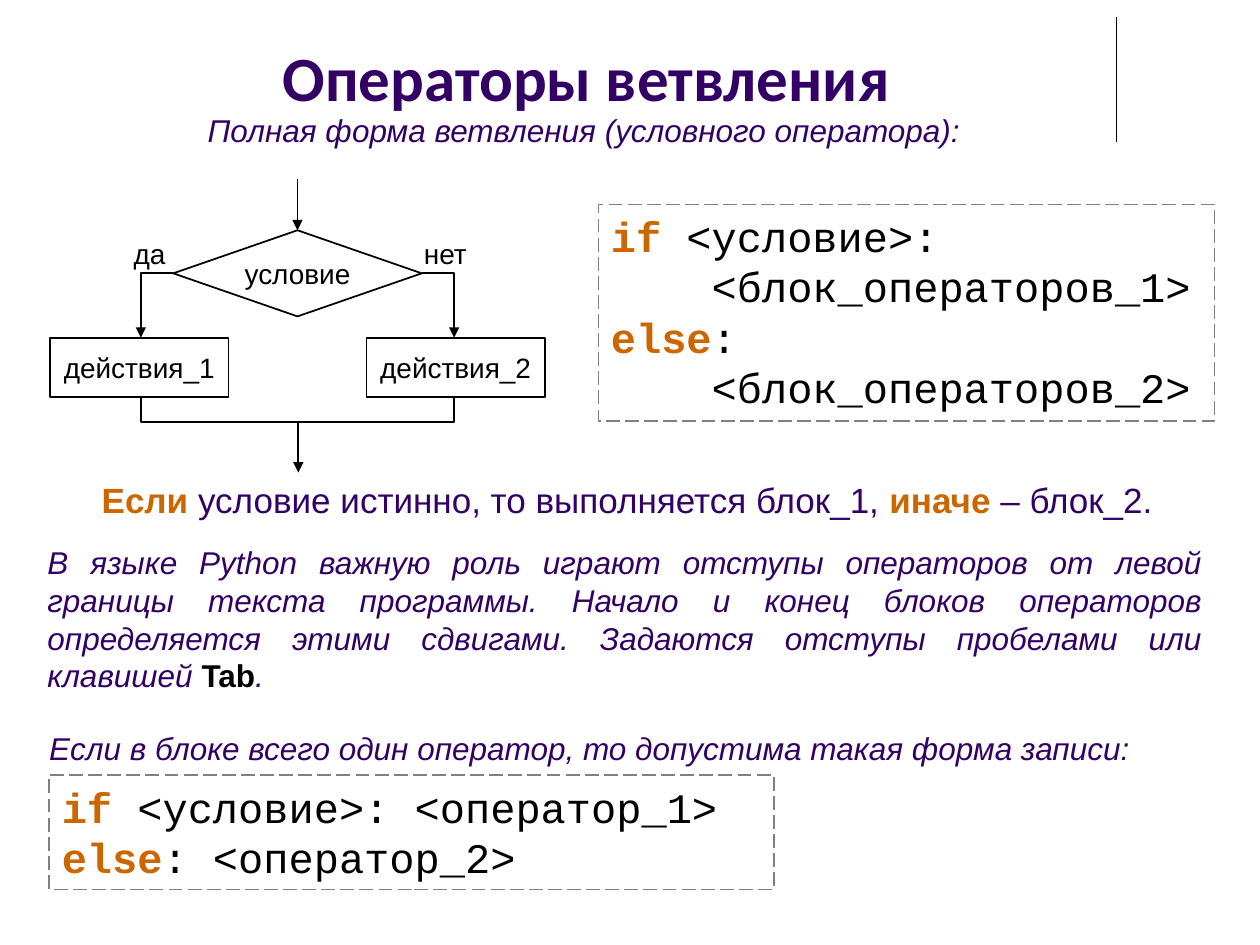
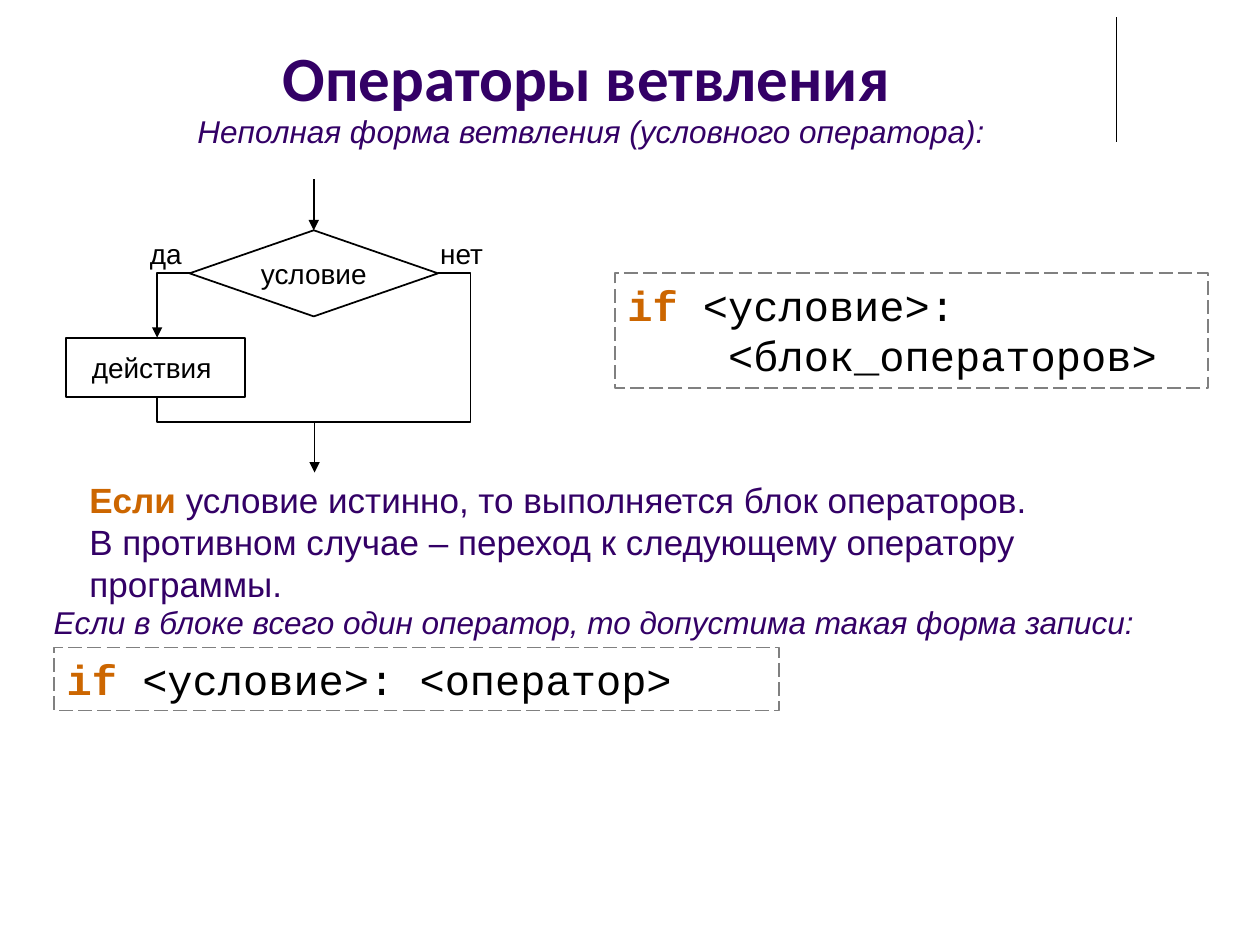
from pptx import Presentation
from pptx.dml.color import RGBColor as RGB
from pptx.enum.dml import MSO_LINE as DASH
from pptx.enum.shapes import MSO_CONNECTOR as CONN, MSO_SHAPE as SHAPE
from pptx.enum.text import MSO_ANCHOR as ANCHOR, PP_ALIGN as ALIGN
from pptx.oxml.ns import qn
from pptx.util import Pt
from lxml.etree import SubElement as sub

HUES = {"ink": "330066", "key": "CC6600", "black": "000000",
        "white": "FFFFFF", "gray": "808080"}


def font(name, size, hue, bold=False, italic=False):
    return {"hue": hue, "name": name, "size": Pt(size),
            "bold": bold, "italic": italic}


STYLES = {
    "title": font("Calibri", 36, "ink", bold=True),
    "note": font("Arial", 18, "ink", italic=True),
    "tab": font("Arial", 18, "black", bold=True),
    "body": font("Arial", 20, "ink"),
    "strong": font("Arial", 20, "key", bold=True),
    "chart": font("Arial", 16, "black"),
    "word": font("Courier New", 24, "key", bold=True),
    "code": font("Courier New", 24, "black"),
    "nest": font("Courier New", 24, "black"),
}
INDENT = Pt(57.6)

TITLE = [[("title", "Операторы ветвления")]]
SHORT = [[("note", "Если в блоке всего один оператор, "
                   "то допустима такая форма записи:")]]
IF = [("word", "if "), ("code", "<условие>:")]

# Each text: box (left, top, width, height), paragraphs of (style, words)
SLIDES = [
    {
        "mid": 170,
        "acts": ["действия_1", "действия_2"],
        "texts": [
            ((111.6, 59.8, 449, 28.8),
             [[("note", "Полная форма ветвления (условного оператора):")]]),
            ((51, 270, 627, 31.7),
             [[("strong", "Если"),
               ("body", " условие истинно, то выполняется блок_1, "),
               ("strong", "иначе"), ("body", " – блок_2.")]]),
            ((20, 306.7, 674, 94.3),
             [[("note", "В языке Python важную роль играют отступы операторов "
                        "от левой границы текста программы. Начало и конец "
                        "блоков операторов определяется этими сдвигами. "
                        "Задаются отступы пробелами или клавишей "),
               ("tab", "Tab"), ("note", ". ")]], ALIGN.JUSTIFY),
            ((21, 413.3, 674, 28.8), SHORT),
        ],
        "codes": [
            ((342, 116.8, 352, 123.8),
             [IF, [("nest", "<блок_операторов_1>")],
              [("word", "else"), ("code", ":")],
              [("nest", "<блок_операторов_2>")]]),
            ((28.2, 442.8, 414, 65.5),
             [[("word", "if "), ("code", "<условие>: <оператор_1>")],
              [("word", "else"), ("code", ": <оператор_2>")]]),
        ],
    },
    {
        "mid": 179.3,
        "acts": ["действия "],
        "texts": [
            ((105.8, 60.5, 471, 38.9),
             [[("note", "Неполная форма ветвления (условного оператора):")]]),
            ((44, 270, 657, 55.4),
             [[("strong", "Если"),
               ("body", " условие истинно, то выполняется блок операторов.")],
              [("body", "В противном случае – переход к следующему оператору "
                        "программы.")]]),
            ((23.5, 341, 674, 28.8), SHORT),
        ],
        "codes": [
            ((351.4, 156.2, 339, 65.5),
             [IF, [("nest", "<блок_операторов>")]]),
            ((31, 370.1, 414, 36),
             [[("word", "if "), ("code", "<условие>: <оператор>")]]),
        ],
    },
]


def rgb(hue):
    return RGB.from_string(HUES[hue])


def write(shape, paras, align=ALIGN.LEFT, anchor=ANCHOR.TOP, pad=None):
    frame = shape.text_frame
    form = {"word_wrap": True, "vertical_anchor": anchor}
    if pad is not None:
        sides = ("left", "top", "right", "bottom")
        form |= {f"margin_{side}": Pt(pad) for side in sides}
    for name, value in form.items():
        setattr(frame, name, value)
    for i, runs in enumerate(paras):
        para = frame.add_paragraph() if i else frame.paragraphs[0]
        para.alignment = align
        first = runs[0][0]
        if first != "title":
            para.line_spacing = Pt(1.2 * STYLES[first]["size"].pt)
        if first == "nest":
            para._p.get_or_add_pPr().set("marL", str(INDENT))
        for style, words in runs:
            run = para.add_run()
            run.text = words
            for name, value in STYLES[style].items():
                if name == "hue":
                    run.font.color.rgb = rgb(value)
                else:
                    setattr(run.font, name, value)


def text(shapes, at, paras, *args, **form):
    write(shapes.add_textbox(*map(Pt, at)), paras, *args, **form)


def stroke(shape, hue="black", width=1, head=False):
    shape.line.color.rgb = rgb(hue)
    shape.line.width = Pt(width)
    if head:
        sub(shape.line._get_or_add_ln(), qn("a:tailEnd"), type="triangle")


def line(shapes, ends, **form):
    link = shapes.add_connector(CONN.STRAIGHT, *map(Pt, ends))
    stroke(link, **form)
    sub(link._element.spPr, qn("a:effectLst"))


def bend(shapes, dots, head=False):
    """Draw an open path with square corners."""
    dots = [(Pt(x), Pt(y)) for x, y in dots]
    pen = shapes.build_freeform(*dots[0])
    pen.add_line_segments(dots[1:], close=False)
    shape = pen.convert_to_shape()
    shape.shadow.inherit = False
    shape.fill.background()
    stroke(shape, head=head)


def node(shapes, kind, at, words):
    shape = shapes.add_shape(kind, *map(Pt, at))
    shape.shadow.inherit = False
    shape.fill.solid()
    shape.fill.fore_color.rgb = rgb("white")
    stroke(shape)
    write(shape, [[("chart", words)]], ALIGN.CENTER, ANCHOR.MIDDLE, 0)


def code(shapes, at, paras):
    shape = shapes.add_shape(SHAPE.RECTANGLE, *map(Pt, at))
    shape.shadow.inherit = False
    shape.fill.background()
    stroke(shape, "gray")
    shape.line.dash_style = DASH.LONG_DASH
    write(shape, paras)


def flow(shapes, mid, acts):
    """Draw the branch chart around the axis x = mid."""
    top, axis, row, foot, join, end = 131.6, 156.2, 193, 227, 241, 270
    half, arm, wide = 71, 89.5, 102
    line(shapes, (mid, 102.5, mid, top), head=True)
    node(shapes, SHAPE.FLOWCHART_DECISION,
         (mid - half, top, 2 * half, 2 * (axis - top)), "условие")
    for side, act in zip((-1, 1), acts):
        left = mid + side * 90.4 - wide / 2
        node(shapes, SHAPE.RECTANGLE, (left, row, wide, foot - row), act)
        turn = mid + side * arm
        bend(shapes, [(mid + side * half, axis), (turn, axis), (turn, row)],
             head=True)
    out = [(mid - arm, foot), (mid - arm, join), (mid + arm, join)]
    if len(acts) == 2:
        out += [(mid + arm, foot)]
    else:
        out += [(mid + arm, axis), (mid + half, axis)]
    bend(shapes, out)
    line(shapes, (mid + 0.5, join, mid + 0.5, end), head=True)
    for side, word in ((-1, "да"), (1, "нет")):
        text(shapes, (mid + side * 84.5 - 20.5, 135, 41, 24),
             [[("chart", word)]], ALIGN.CENTER, pad=0)


def main():
    deck = Presentation()
    deck.slide_width, deck.slide_height = Pt(720), Pt(540)
    for page in SLIDES:
        shapes = deck.slides.add_slide(deck.slide_layouts[6]).shapes
        line(shapes, (638, 10, 638, 81), width=0.75)
        text(shapes, (49, 12, 572, 63), TITLE, ALIGN.CENTER, ANCHOR.MIDDLE)
        flow(shapes.add_group_shape().shapes, page["mid"], page["acts"])
        for item in page["texts"]:
            text(shapes, *item)
        for item in page["codes"]:
            code(shapes, *item)
    deck.save("out.pptx")


if __name__ == "__main__":
    main()
